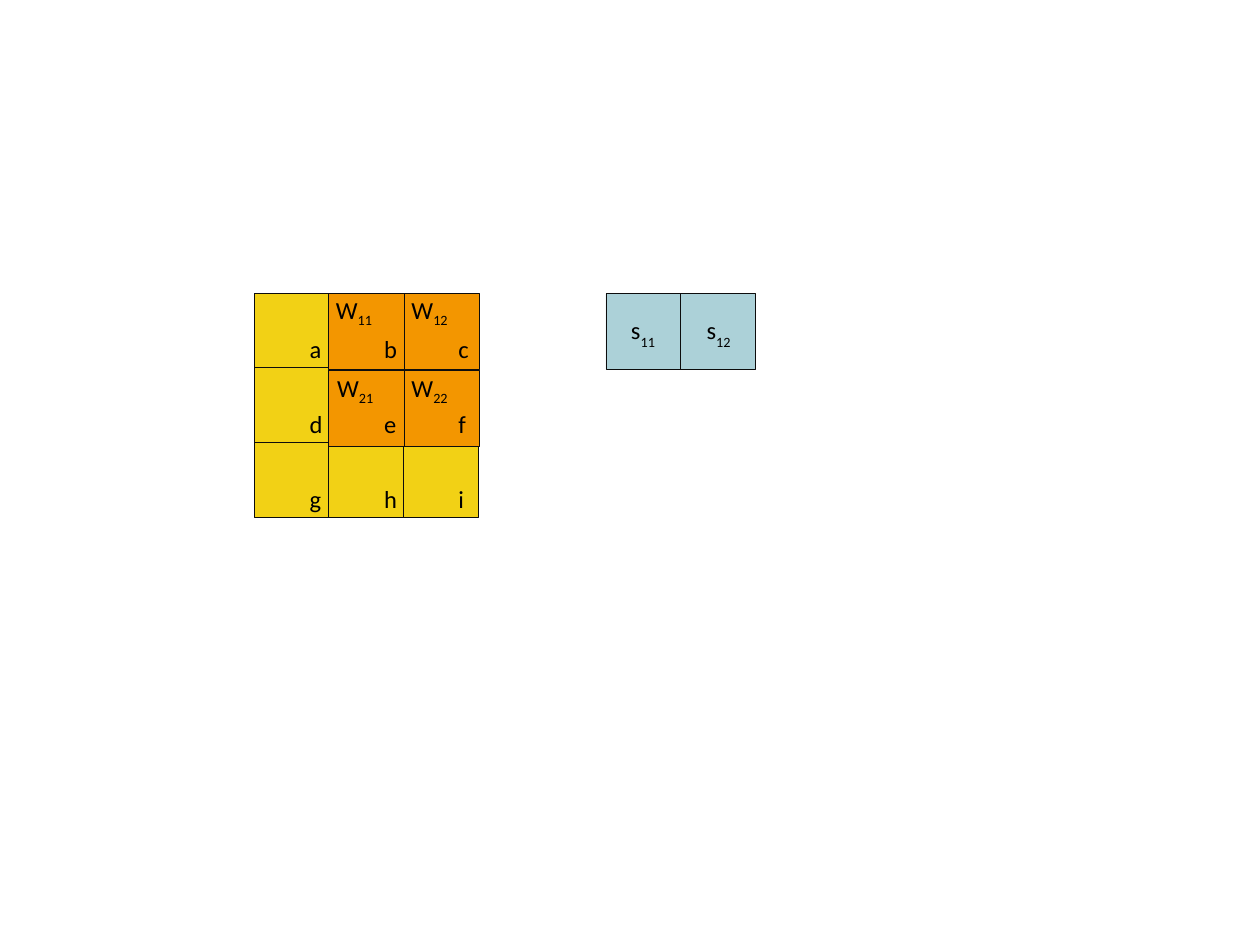
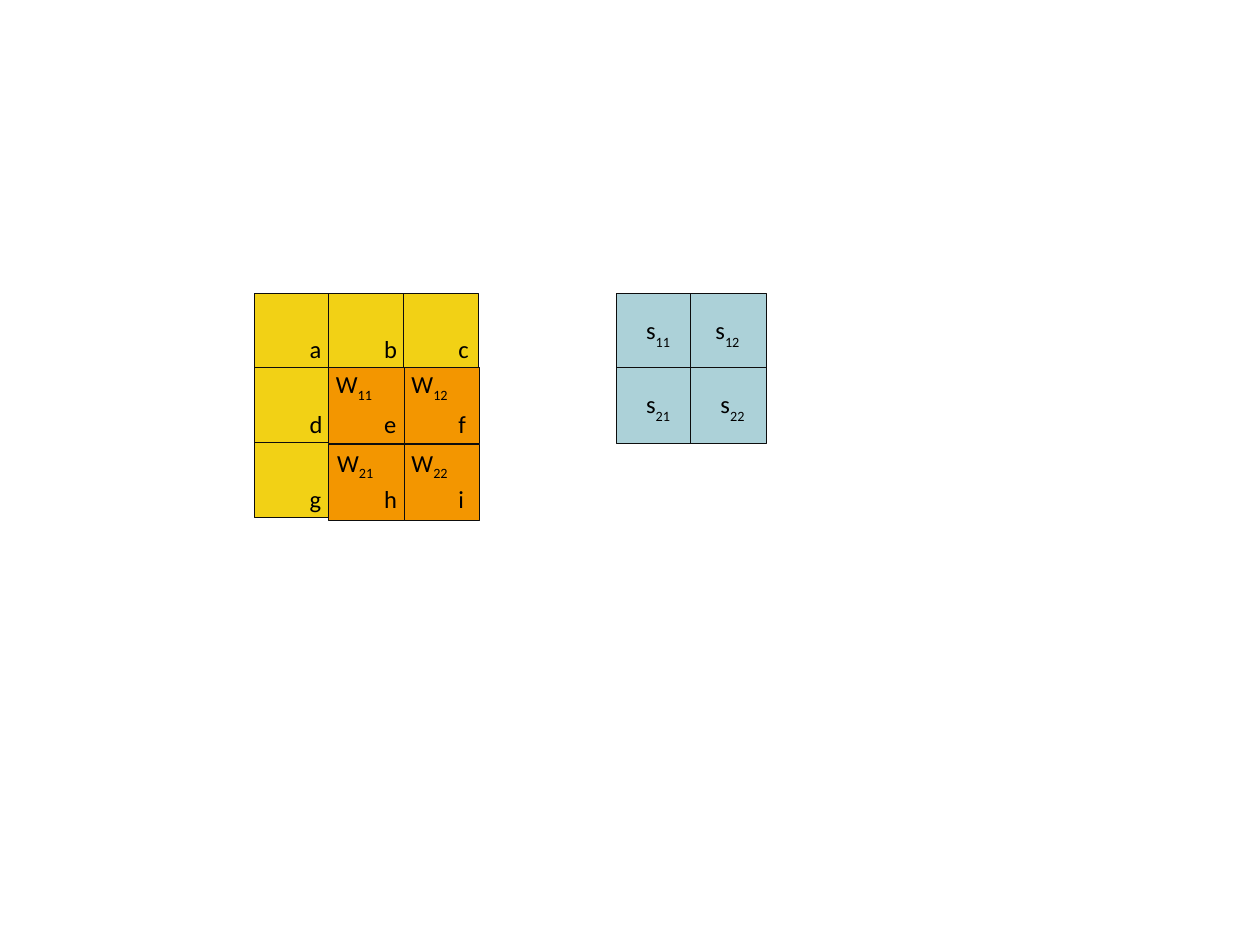
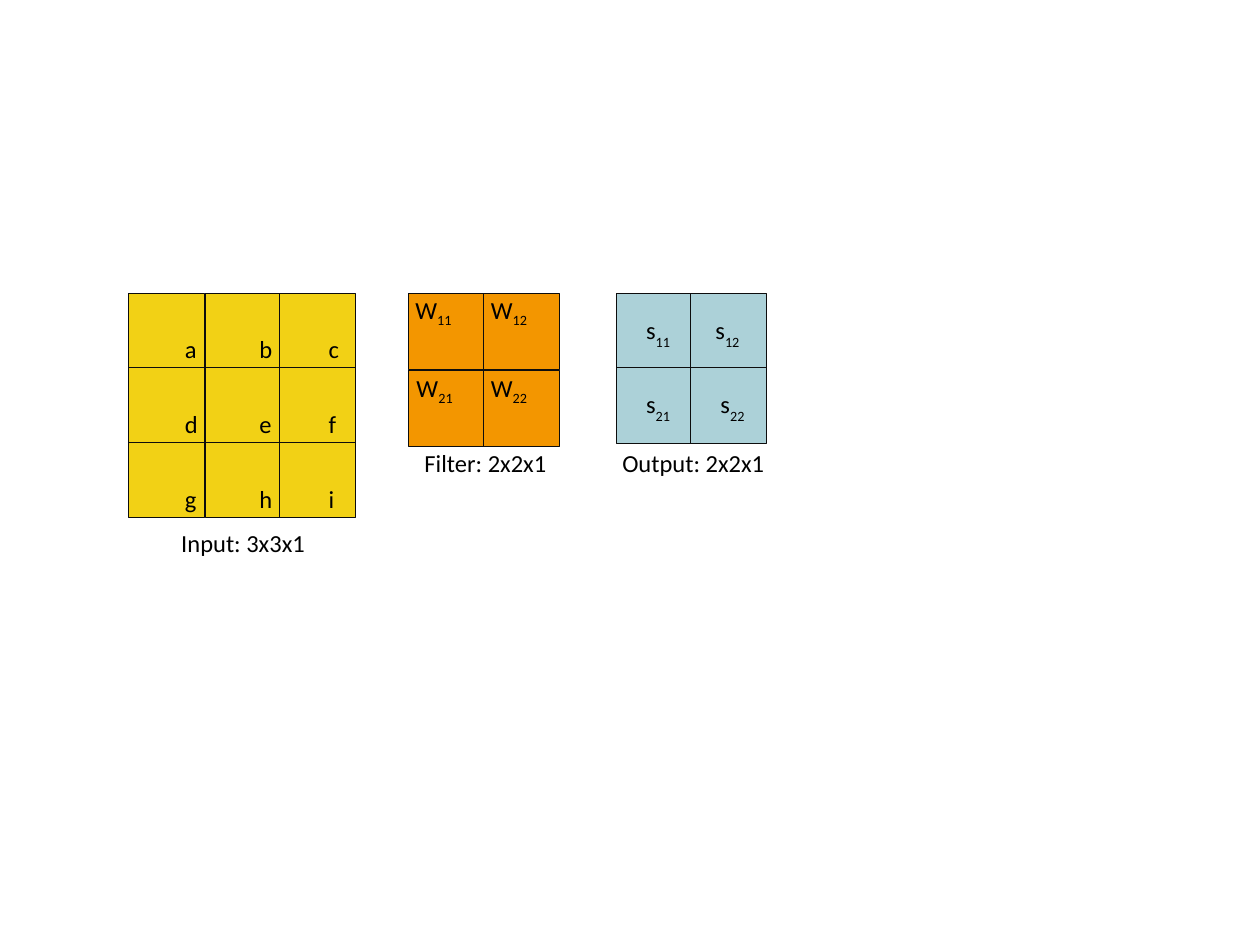
from pptx import Presentation
from pptx.dml.color import RGBColor
from pptx.enum.shapes import MSO_SHAPE
from pptx.enum.text import MSO_ANCHOR, MSO_AUTO_SIZE, PP_ALIGN
from pptx.util import Inches, Pt

RECTANGLE = MSO_SHAPE.RECTANGLE
MIDDLE = MSO_ANCHOR.MIDDLE
GROW = MSO_AUTO_SIZE.SHAPE_TO_FIT_TEXT
CENTER = PP_ALIGN.CENTER

COLORS = {"input": "F2D115", "filter": "F39600", "output": "ACD1D8",
          "line": "0D0D0D", "text": "000000"}
FONT = {"name": "Calibri", "size": Pt(14)}
CELL = 0.6
PITCH = 0.59
TOP = 2.33
LETTERS = ("abc", "def", "ghi")
LETTER_WIDTHS = ((1.26, 0.35, 1.26), (0.34, 0.25, 1.26), (0.34, 0.25, 1.26))
FILTER_INSETS = {"11": (0, 0), "12": (0, 0), "21": (0.02, 0.02), "22": (0, 0.02)}


def set_format(target, values):
    """Set every attribute in values on target."""
    for attribute, value in values.items():
        setattr(target, attribute, value)


def write(paragraph, text, subscript="", baseline=0):
    """Write text followed by an optional subscript."""
    for part, offset in ((text, 0), (subscript, baseline)):
        if part:
            run = paragraph.add_run()
            run.text = part
            set_format(run.font, FONT)
            run.font.color.rgb = RGBColor.from_string(COLORS["text"])
            if offset:
                run._r.get_or_add_rPr().set("baseline", str(offset * 1000))


def add_cell(shapes, left, top, role):
    """Add one square of a matrix."""
    cell = shapes.add_shape(RECTANGLE, Inches(left), Inches(top), Inches(CELL), Inches(CELL))
    cell.shadow.inherit = False
    cell.fill.solid()
    cell.fill.fore_color.rgb = RGBColor.from_string(COLORS[role])
    cell.line.color.rgb = RGBColor.from_string(COLORS["line"])
    cell.line.width = Pt(0.5)
    return cell


def add_label(slide, left, top, width, height, text, subscript=""):
    """Add a free label with an optional subscript."""
    label = slide.shapes.add_textbox(Inches(left), Inches(top), Inches(width), Inches(height))
    set_format(label.text_frame, {"word_wrap": True, "auto_size": GROW})
    write(label.text_frame.paragraphs[0], text, subscript, -33)


def add_input(slide, left, top, columns, covered=""):
    """Draw the input squares that the filter leaves uncovered."""
    for row, letters in enumerate(LETTERS):
        for column, letter in zip(columns, letters):
            if letter not in covered:
                add_cell(slide.shapes, left + column, top + row * PITCH, "input")


def add_input_letters(slide, left, top, columns):
    """Write the input values at the lower right of their squares."""
    for row, (letters, widths) in enumerate(zip(LETTERS, LETTER_WIDTHS)):
        for column, letter, width in zip(columns, letters, widths):
            add_label(slide, left + column, top + 0.27 + row * 0.595, width, 0.33, letter)


def add_filter(slide, left, top):
    """Draw the grouped 2x2 filter with its weights."""
    group = slide.shapes.add_group_shape()
    for index, (inset_left, inset_top) in FILTER_INSETS.items():
        row, column = (int(digit) - 1 for digit in index)
        cell = add_cell(group.shapes, left + column * 0.6, top + row * 0.61, "filter")
        set_format(cell.text_frame, {
            "vertical_anchor": MIDDLE, "word_wrap": True,
            "margin_left": Inches(inset_left), "margin_top": Inches(inset_top),
            "margin_right": Inches(0.2), "margin_bottom": Inches(0.31)})
        weight = cell.text_frame.paragraphs[0]
        weight.alignment = CENTER
        write(weight, "W", index, -25)


def add_output(slide, left, top, label_offsets):
    """Draw the output sums, one row for each row of label offsets."""
    for row, offsets in enumerate(label_offsets):
        for column in range(len(offsets)):
            add_cell(slide.shapes, left + column * PITCH, top + row * PITCH, "output")
    for row, offsets in enumerate(label_offsets):
        for column, offset in enumerate(offsets):
            add_label(slide, left + column * PITCH + offset, top + 0.12 + row * PITCH,
                      1.26, 0.38, "s", f"{row + 1}{column + 1}")


def add_step(slide, left, top, filter_row, covered, output_left, label_offsets):
    """Draw the filter lying on the input, next to the sums found so far."""
    add_input(slide, left, top, (0, 0.59, 1.18), covered)
    add_filter(slide, left + PITCH, top + filter_row * PITCH)
    add_input_letters(slide, left, top, (0.34, 0.93, 1.52))
    add_output(slide, output_left, top, label_offsets)


def add_overview(slide, top, input_left, filter_left, output_left, label_offsets):
    """Draw input, filter and output side by side with captions."""
    add_output(slide, output_left, top, label_offsets)
    add_input(slide, input_left, top, (0, 0.61, 1.2))
    add_filter(slide, filter_left, top)
    add_input_letters(slide, input_left, top, (0.35, 0.94, 1.49))
    for left, drop, width, caption in (
            (input_left + 0.32, 1.81, 1.26, "Input: 3x3x1"),
            (filter_left + 0.03, 1.18, 1.42, "Filter: 2x2x1"),
            (output_left - 0.05, 1.18, 1.42, "Output: 2x2x1")):
        add_label(slide, left, top + drop, width, 0.33, caption)


def main():
    """Build the three convolution slides."""
    deck = Presentation()
    set_format(deck, {"slide_width": Inches(10), "slide_height": Inches(7.5)})
    first, last, overview = (deck.slides.add_slide(deck.slide_layouts[6]) for _ in range(3))
    full_output = ((0.14, 0.1), (0.14, 0.14))
    add_step(first, 2.02, TOP, 0, "bcef", 4.81, ((0.1, 0.11),))
    add_step(last, 2.02, TOP, 1, "efhi", 4.89, full_output)
    add_overview(overview, TOP, 1.02, 3.24, 4.89, full_output)
    deck.save("out.pptx")


if __name__ == "__main__":
    main()
